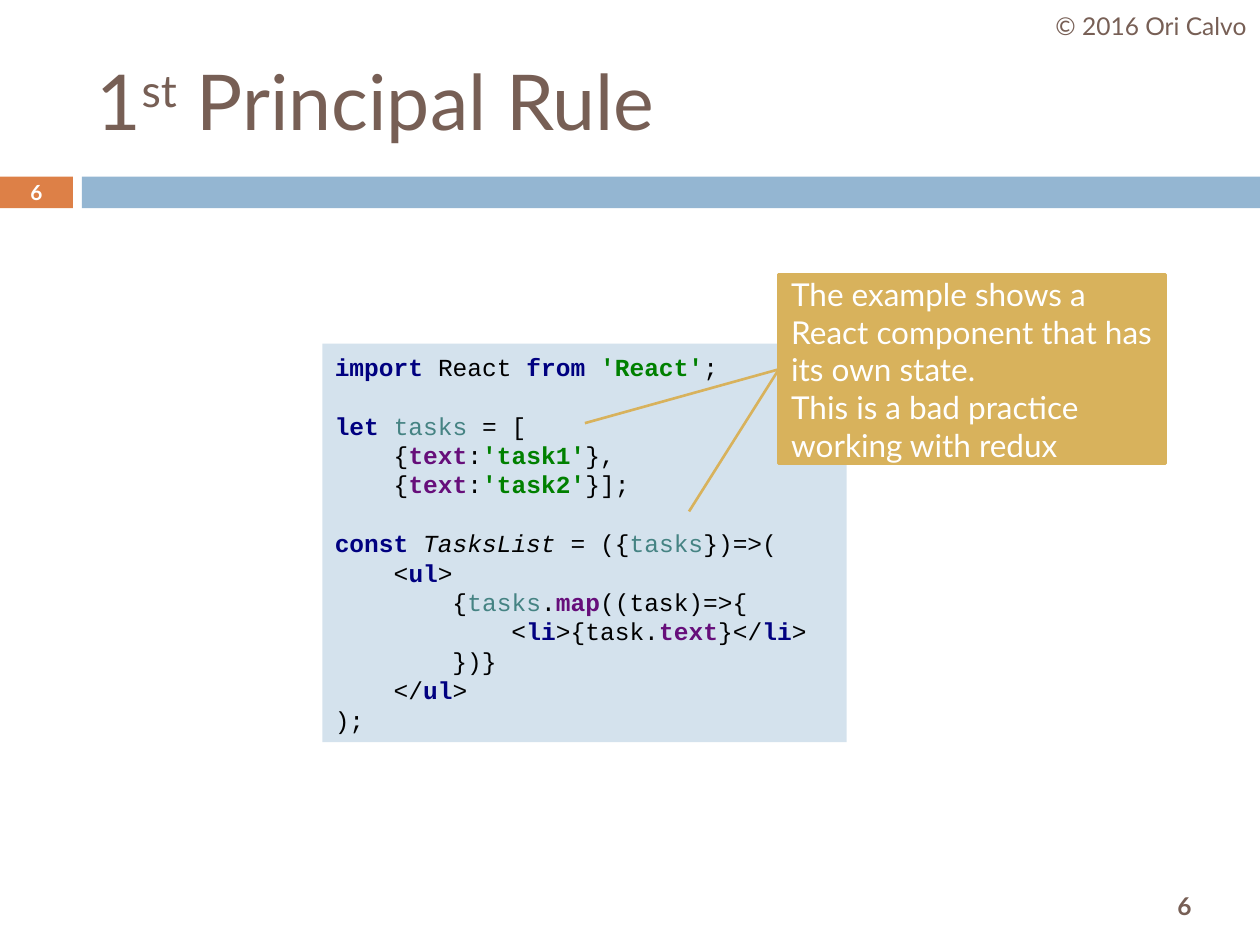
from typing import NamedTuple

from lxml import etree
from pptx import Presentation
from pptx.dml.color import RGBColor
from pptx.enum import shapes, text
from pptx.oxml import ns
from pptx.util import Cm, Pt

BROWN = RGBColor(0x77, 0x5F, 0x55)
ORANGE = RGBColor(0xDD, 0x80, 0x47)
BLUE = RGBColor(0x94, 0xB6, 0xD2)
PALE_BLUE = RGBColor(0xD4, 0xE2, 0xED)
GOLD = RGBColor(0xD8, 0xB2, 0x5C)
WHITE = RGBColor(0xFF, 0xFF, 0xFF)
BLACK = RGBColor(0, 0, 0)
NAVY = RGBColor(0, 0, 0x80)
GREEN = RGBColor(0, 0x80, 0)
TEAL = RGBColor(0x45, 0x83, 0x83)
PURPLE = RGBColor(0x66, 0x0E, 0x7A)

BODY_FONT = "Lato"
CODE_FONT = "Courier New"
LEFT = text.PP_ALIGN.LEFT
CENTER = text.PP_ALIGN.CENTER


class Box(NamedTuple):
    left: float
    top: float
    width: float
    height: float

    def lengths(self) -> list:
        return [Cm(v) for v in self]


class Style(NamedTuple):
    color: RGBColor
    bold: bool = False
    italic: bool = False


class Label(NamedTuple):
    box: Box
    words: str
    size: float
    color: RGBColor
    bold: bool


PLAIN = Style(BLACK)
KEYWORD = Style(NAVY, bold=True)
STRING = Style(GREEN, bold=True)
MEMBER = Style(PURPLE, bold=True)
VARIABLE = Style(TEAL)
COMPONENT = Style(BLACK, italic=True)

CODE = [
    ("import ", KEYWORD), ("React ", PLAIN), ("from ", KEYWORD),
    ("'React'", STRING), (";\n\n", PLAIN),
    ("let ", KEYWORD), ("tasks ", VARIABLE), ("= [\n    {", PLAIN),
    ("text", MEMBER), (":", PLAIN), ("'task1'", STRING), ("},\n    {", PLAIN),
    ("text", MEMBER), (":", PLAIN), ("'task2'", STRING), ("}];\n\n", PLAIN),
    ("const ", KEYWORD), ("TasksList ", COMPONENT), ("= ({", PLAIN),
    ("tasks", VARIABLE), ("})=>(\n    <", PLAIN),
    ("ul", KEYWORD), (">\n        {", PLAIN),
    ("tasks", VARIABLE), (".", PLAIN), ("map", MEMBER),
    ("((task)=>{\n            <", PLAIN),
    ("li", KEYWORD), (">{task.", PLAIN), ("text", MEMBER), ("}</", PLAIN),
    ("li", KEYWORD), (">\n        })}\n    </", PLAIN),
    ("ul", KEYWORD), (">\n);", PLAIN),
]

LABELS = [
    Label(Box(22.71, 17.73, 2.34, 1.07), "6", 14, BROWN, True),
    Label(Box(21.01, 0, 4.39, 1.02), "© 2016 Ori Calvo", 14, BROWN, False),
    Label(Box(0, 3.53, 1.47, 0.69), "6", 11.9, WHITE, True),
]

CALLOUT = [
    "The example shows a React component that has its own state.",
    "This is a bad practice working with redux",
]
CALLOUT_TARGETS = [(11.79, 8.53), (13.89, 10.31)]


def add_text(p, words: str, *, size: float, color: RGBColor, font: str = BODY_FONT,
             bold: bool = False, italic: bool = False, baseline: int = 0) -> None:
    for i, line in enumerate(words.split("\n")):
        if i:
            p.add_line_break()
        if not line:
            continue
        r = p.add_run()
        r.text = line
        r.font.name, r.font.size = font, Pt(size)
        r.font.bold, r.font.italic = bold, italic
        r.font.color.rgb = color
        if baseline:
            r.font._element.set("baseline", str(baseline * 1000))


def prepare(sp, align=LEFT):
    tf = sp.text_frame
    tf.word_wrap = True
    tf.auto_size = text.MSO_AUTO_SIZE.NONE
    tf.vertical_anchor = text.MSO_ANCHOR.MIDDLE
    tf.paragraphs[0].alignment = align
    return tf


def add_rect(slide, box: Box, fill: RGBColor):
    sp = slide.shapes.add_shape(shapes.MSO_SHAPE.RECTANGLE, *box.lengths())
    sp.shadow.inherit = False
    sp.fill.solid()
    sp.fill.fore_color.rgb = fill
    sp.line.fill.background()
    return sp


def set_line(sp, color: RGBColor) -> None:
    sp.line.color.rgb = color
    sp.line.width = Pt(1.5)


def add_label(slide, label: Label) -> None:
    sp = slide.shapes.add_textbox(*label.box.lengths())
    p = prepare(sp, CENTER).paragraphs[0]
    add_text(p, label.words, size=label.size, color=label.color, bold=label.bold)


def add_title(slide) -> None:
    sp = slide.shapes.title
    sp.left, sp.top, sp.width, sp.height = Box(1.7, 0.64, 22.66, 2.74).lengths()
    p = prepare(sp).paragraphs[0]
    for words, baseline in [("1", 0), ("st", 30), (" Principal Rule", 0)]:
        add_text(p, words, size=44, color=BROWN, baseline=baseline)


def add_code(slide) -> None:
    sp = add_rect(slide, Box(6.5, 6.93, 10.57, 8.03), PALE_BLUE)
    p = prepare(sp).paragraphs[0]
    p.line_spacing = Pt(16.8)
    for words, style in CODE:
        add_text(p, words, size=14, font=CODE_FONT, **style._asdict())


def add_callout(slide) -> None:
    box = Box(15.7, 5.54, 7.8, 3.81)
    sp = add_rect(slide, box, GOLD)
    set_line(sp, GOLD)
    tf = prepare(sp)
    for i, words in enumerate(CALLOUT):
        p = tf.add_paragraph() if i else tf.paragraphs[0]
        p.alignment = LEFT
        add_text(p, words, size=18, color=WHITE)
    for x, y in CALLOUT_TARGETS:
        line = slide.shapes.add_connector(
            shapes.MSO_CONNECTOR.STRAIGHT,
            Cm(box.left), Cm(box.top + box.height / 2), Cm(x), Cm(y))
        set_line(line, GOLD)
        etree.SubElement(line._element.spPr, ns.qn("a:effectLst"))


def main() -> None:
    prs = Presentation()
    prs.slide_width, prs.slide_height = Cm(25.4), Cm(19.05)
    slide = prs.slides.add_slide(prs.slide_layouts[5])
    add_rect(slide, Box(0, 3.56, 1.47, 0.64), ORANGE)
    add_rect(slide, Box(1.65, 3.56, 23.75, 0.64), BLUE)
    add_title(slide)
    for label in LABELS:
        add_label(slide, label)
    add_code(slide)
    add_callout(slide)
    prs.save("out.pptx")


main()
